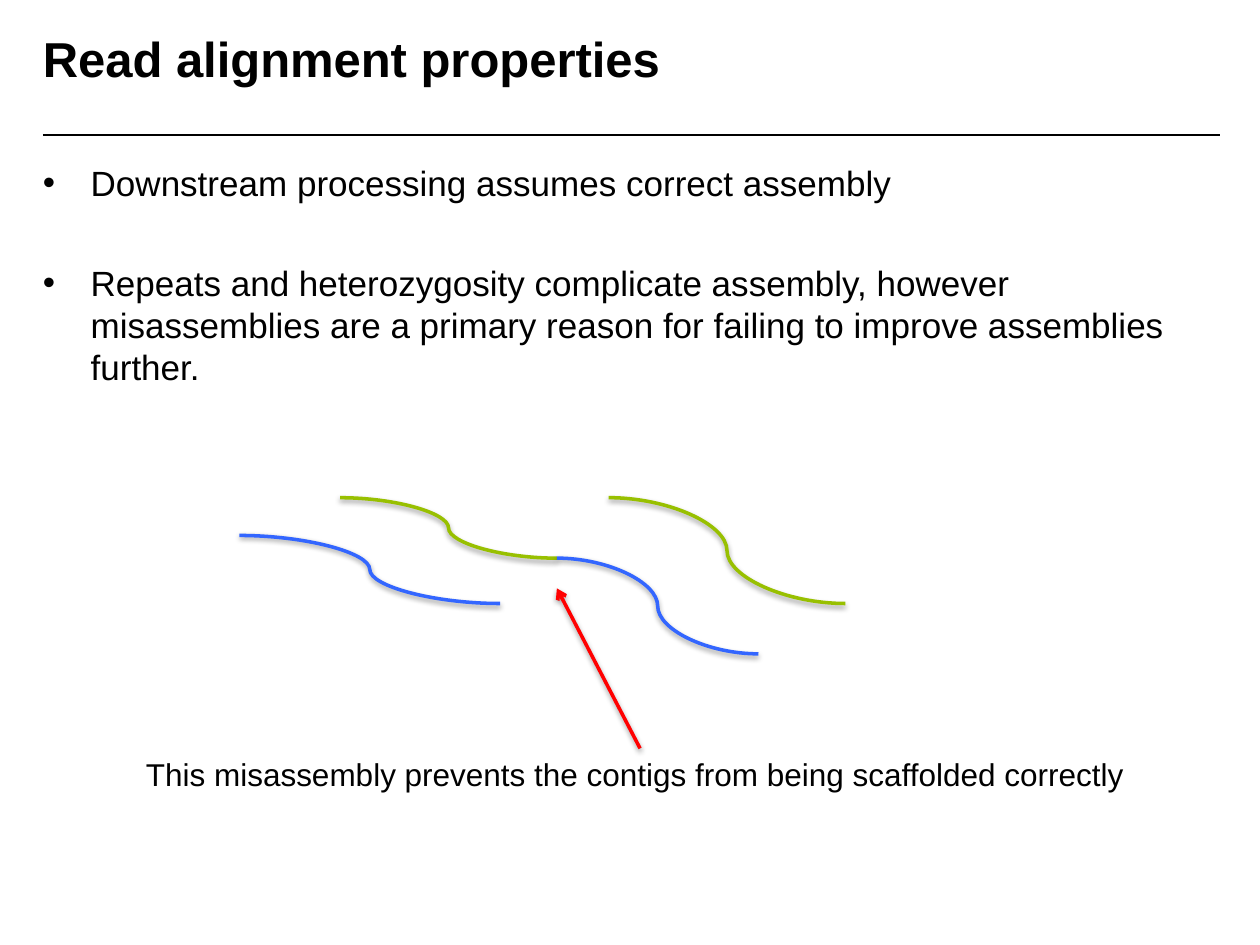
from lxml import etree
from pptx import Presentation, util as u
from pptx.dml.color import RGBColor
from pptx.enum import shapes, text
from pptx.oxml import ns

COLUMNS, ROWS = 100, 75
BLACK, GREEN, BLUE, RED = "000000", "98C000", "3366FF", "FF0000"
STRANDS = [
    (GREEN, (37.7, 0), (56.5, 8.4)),
    (GREEN, (16.4, 0), (33.6, 4.8)),
    (BLUE, (33.6, 4.8), (49.6, 12.4)),
    (BLUE, (8.4, 3), (29.1, 8.4)),
]
POINTS = [
    "Downstream processing assumes correct assembly",
    "Repeats and heterozygosity complicate assembly, however "
    "misassemblies are a primary reason for failing to improve assemblies further.",
]

deck = Presentation()
deck.slide_width, deck.slide_height = u.Inches(10), u.Inches(7.5)
slide = deck.slides.add_slide(deck.slide_layouts[6])


def x(column):
    """Turn grid columns into a length."""
    return round(deck.slide_width * column / COLUMNS)


def y(row):
    """Turn grid rows into a length."""
    return round(deck.slide_height * row / ROWS)


def color(value):
    """Turn a hex string into a colour."""
    return RGBColor.from_string(value)


def child(parent, tag, **attributes):
    """Append a DrawingML element with the given attributes."""
    return etree.SubElement(parent, ns.qn("a:" + tag), attributes)


def write(paragraph, words, size, bold=False):
    """Write words into a paragraph in black Arial."""
    paragraph.text = words
    formats = {"name": "Arial", "size": u.Pt(size), "bold": bold}
    for name, value in formats.items():
        setattr(paragraph.font, name, value)
    paragraph.font.color.rgb = color(BLACK)


def frame(box, inset=0, wrap=True):
    """Add a text box on the grid and return its text frame."""
    left, top, width, height = box
    area = slide.shapes.add_textbox(x(left), y(top), x(width), y(height)).text_frame
    formats = {"word_wrap": wrap, "vertical_anchor": text.MSO_ANCHOR.TOP}
    for side in ("left", "right", "top", "bottom"):
        formats["margin_" + side] = u.Inches(inset if side in ("left", "right") else inset / 2)
    for name, value in formats.items():
        setattr(area, name, value)
    return area


def stroke(kind, start, end, hue, width=2, shadow=True, arrow=False):
    """Draw a connector between two grid points."""
    link = slide.shapes.add_connector(kind, x(start[0]), y(start[1]), x(end[0]), y(end[1]))
    link.line.color.rgb = color(hue)
    link.line.width = u.Pt(width)
    if arrow:
        child(link.line._get_or_add_ln(), "tailEnd", type="arrow")
    effects = child(link._element.spPr, "effectLst")
    if shadow:
        cast = child(effects, "outerShdw", blurRad="40000", dist="20000",
                     dir="5400000", rotWithShape="0")
        child(child(cast, "srgbClr", val=BLACK), "alpha", val="38000")


def header(box):
    """Place the title and the rule beneath it."""
    left, top, width, height = box
    write(frame((left, top, width, 6.9)).paragraphs[0], "Read alignment properties", 28, True)
    stroke(shapes.MSO_CONNECTOR.STRAIGHT, (left, top + height), (left + width, top + height),
           BLACK, width=1, shadow=False)


def bullets(box):
    """Place the bulleted points."""
    area = frame(box)
    for index, point in enumerate(POINTS):
        paragraph = area.add_paragraph() if index else area.paragraphs[0]
        properties = paragraph._p.get_or_add_pPr()
        properties.set("marL", str(x(3.8)))
        properties.set("indent", str(-x(3.8)))
        if index:
            paragraph.space_before = u.Pt(33)
        child(properties, "buFont", typeface="Arial")
        child(properties, "buChar", char="•")
        write(paragraph, point, 20)


def misassembly(box):
    """Place the contig strands, the caption and the arrow to the false join."""
    left, top, width, height = box

    def at(point):
        """Shift a point into the diagram."""
        return left + point[0], top + point[1]

    for hue, start, end in STRANDS:
        stroke(shapes.MSO_CONNECTOR.CURVE, at(start), at(end), hue)
    caption = frame((left, top + height - 4, width, 4), inset=0.1, wrap=False)
    write(caption.paragraphs[0],
          "This misassembly prevents the contigs from being scaffolded correctly", 18)
    stroke(shapes.MSO_CONNECTOR.STRAIGHT, at((40.2, height - 4)), at((33.6, 7.2)), RED, arrow=True)


header((3.4, 2.3, 93.4, 8.4))
bullets((3.4, 12.8, 93.4, 54.2))
misassembly((10.6, 39.5, 80.4, 23.9))
deck.save("out.pptx")
